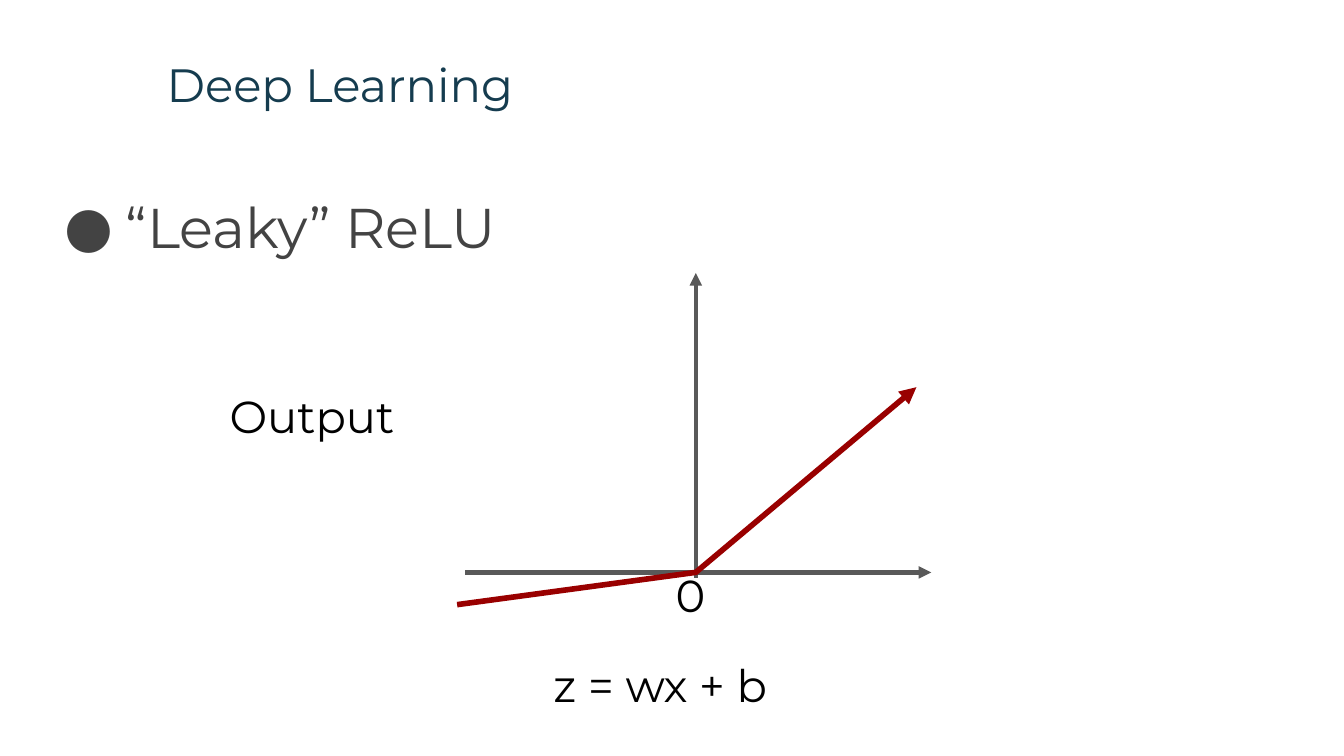
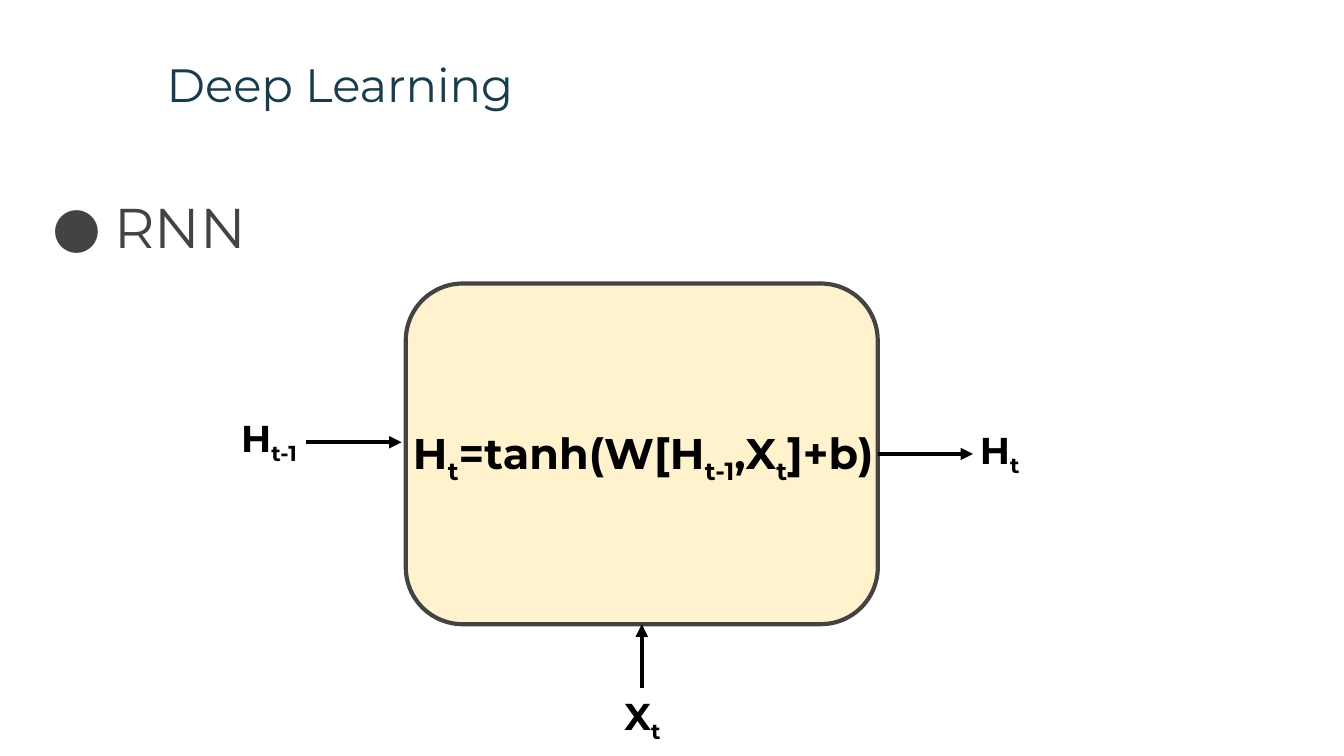
from dataclasses import dataclass

from lxml import etree
from pptx import Presentation
from pptx.dml.color import RGBColor
from pptx.enum.shapes import MSO_CONNECTOR, MSO_SHAPE
from pptx.enum.text import MSO_ANCHOR, MSO_AUTO_SIZE, PP_ALIGN
from pptx.oxml.ns import qn
from pptx.shapes.autoshape import Shape
from pptx.shapes.connector import Connector
from pptx.slide import Slide
from pptx.text.text import TextFrame
from pptx.util import Cm, Pt

STRAIGHT = MSO_CONNECTOR.STRAIGHT
ROUNDED = MSO_SHAPE.ROUNDED_RECTANGLE
TOP = MSO_ANCHOR.TOP
LEFT, CENTER = PP_ALIGN.LEFT, PP_ALIGN.CENTER
NO_AUTOFIT = MSO_AUTO_SIZE.NONE
BOTTOM_SITE, RIGHT_SITE = 2, 3


@dataclass(frozen=True)
class Theme:
    font: str = "Montserrat"
    title_color: str = "153C4F"
    body_color: str = "434343"
    ink: str = "000000"
    axis: str = "595959"
    curve: str = "990000"
    cell_fill: str = "FFF2CC"
    title_size: float = 25
    body_size: float = 30
    caption_size: float = 24
    formula_size: float = 23
    symbol_size: float = 20
    line_width: float = 2.25
    curve_width: float = 3


THEME = Theme()


@dataclass(frozen=True)
class Box:
    """A rectangle in centimetres."""
    left: float
    top: float
    width: float
    height: float

    @property
    def right(self) -> float:
        return self.left + self.width

    @property
    def bottom(self) -> float:
        return self.top + self.height

    @property
    def center_x(self) -> float:
        return self.left + self.width / 2

    @property
    def center_y(self) -> float:
        return self.top + self.height / 2

    def lengths(self) -> tuple[Cm, Cm, Cm, Cm]:
        return Cm(self.left), Cm(self.top), Cm(self.width), Cm(self.height)


@dataclass(frozen=True)
class Label:
    """Text pieces that alternate between baseline and subscript."""
    box: Box
    pieces: tuple[str, ...]
    size: float
    bold: bool = False
    align: PP_ALIGN = LEFT


@dataclass(frozen=True)
class Arrow:
    start: tuple[float, float]
    end: tuple[float, float]
    color: str


TITLE_BOX = Box(2.9, 0.81, 21.64, 1.6)


def write_text(frame: TextFrame, pieces: tuple[str, ...], size: float, color: str,
               bold: bool = False, align: PP_ALIGN = LEFT) -> None:
    frame.word_wrap = True
    frame.auto_size = NO_AUTOFIT
    frame.vertical_anchor = TOP
    frame.margin_left = frame.margin_right = Cm(0.25)
    frame.margin_top = frame.margin_bottom = Cm(0.25)
    paragraph = frame.paragraphs[0]
    paragraph.alignment = align
    paragraph.space_before = Pt(0)
    font = paragraph.font
    font.name, font.size, font.bold = THEME.font, Pt(size), bold
    font.color.rgb = RGBColor.from_string(color)
    for position, piece in enumerate(pieces):
        run = paragraph.add_run()
        run.text = piece
        if position % 2:
            run._r.get_or_add_rPr().set("baseline", "-25000")


def add_bullet(frame: TextFrame) -> None:
    paragraph = frame.paragraphs[0]
    paragraph.line_spacing = 1.15
    properties = paragraph._p.get_or_add_pPr()
    properties.set("marL", str(Cm(1.27)))
    properties.set("indent", str(Cm(-1.17)))
    bullet_color = etree.Element(qn("a:buClr"))
    etree.SubElement(bullet_color, qn("a:srgbClr"), val=THEME.body_color)
    bullet_font = etree.Element(qn("a:buFont"), typeface=THEME.font)
    bullet_char = etree.Element(qn("a:buChar"), char="●")
    run_defaults = properties.find(qn("a:defRPr"))
    for part in (bullet_color, bullet_font, bullet_char):
        run_defaults.addprevious(part)


def add_topic_slide(deck: Presentation, topic: str, body_box: Box) -> Slide:
    slide = deck.slides.add_slide(deck.slide_layouts[1])
    title, body = slide.shapes.title, slide.placeholders[1]
    for holder, box in ((title, TITLE_BOX), (body, body_box)):
        holder.left, holder.top, holder.width, holder.height = box.lengths()
    write_text(title.text_frame, ("Deep Learning",), THEME.title_size, THEME.title_color)
    write_text(body.text_frame, (topic,), THEME.body_size, THEME.body_color)
    add_bullet(body.text_frame)
    return slide


def add_label(slide: Slide, label: Label) -> None:
    frame = slide.shapes.add_textbox(*label.box.lengths()).text_frame
    write_text(frame, label.pieces, label.size, THEME.ink, label.bold, label.align)


def style_arrow(stroke: Shape | Connector, color: str, width: float) -> None:
    stroke.line.color.rgb = RGBColor.from_string(color)
    stroke.line.width = Pt(width)
    outline = stroke.element.spPr.find(qn("a:ln"))
    etree.SubElement(outline, qn("a:tailEnd"), type="triangle")


def add_arrow(slide: Slide, arrow: Arrow) -> Connector:
    ends = (Cm(value) for value in (*arrow.start, *arrow.end))
    connector = slide.shapes.add_connector(STRAIGHT, *ends)
    style_arrow(connector, arrow.color, THEME.line_width)
    etree.SubElement(connector.element.spPr, qn("a:effectLst"))
    return connector


def add_curve(slide: Slide, points: list[tuple[float, float]]) -> None:
    start, *rest = [(Cm(x), Cm(y)) for x, y in points]
    builder = slide.shapes.build_freeform(*start)
    builder.add_line_segments(rest, close=False)
    curve = builder.convert_to_shape()
    curve.fill.background()
    curve.shadow.inherit = False
    style_arrow(curve, THEME.curve, THEME.curve_width)


def add_cell(slide: Slide, box: Box) -> Shape:
    cell = slide.shapes.add_shape(ROUNDED, *box.lengths())
    cell.adjustments[0] = 0.167
    cell.shadow.inherit = False
    cell.fill.solid()
    cell.fill.fore_color.rgb = RGBColor.from_string(THEME.cell_fill)
    cell.line.color.rgb = RGBColor.from_string(THEME.body_color)
    cell.line.width = Pt(THEME.line_width)
    return cell


def build_leaky_relu(deck: Presentation) -> None:
    slide = add_topic_slide(deck, "“Leaky” ReLU", Box(0.86, 3.2, 24.18, 9.5))
    origin_x, origin_y = 13.15, 10.82
    add_arrow(slide, Arrow((origin_x, 10.92), (origin_x, 5.16), THEME.axis))
    add_arrow(slide, Arrow((8.79, origin_y), (17.6, origin_y), THEME.axis))
    for text, box in (
        ("z = wx + b", Box(10.21, 12.19, 6.63, 1.37)),
        ("Output", Box(4.09, 7.09, 4.45, 1.37)),
        ("0", Box(12.52, 10.49, 1.47, 1.37)),
    ):
        add_label(slide, Label(box, (text,), THEME.caption_size))
    add_curve(slide, [(8.64, 11.43), (origin_x, origin_y), (17.32, 7.32)])


def build_rnn(deck: Presentation) -> None:
    slide = add_topic_slide(deck, "RNN", Box(0.64, 3.2, 24.76, 2.39))
    cell_box = Box(7.67, 5.36, 8.92, 6.44)
    cell = add_cell(slide, cell_box)
    middle_x, middle_y = cell_box.center_x, cell_box.center_y
    add_arrow(slide, Arrow((5.79, 8.36), (7.59, 8.36), THEME.ink))
    state_out = add_arrow(
        slide, Arrow((cell_box.right, middle_y), (18.39, middle_y), THEME.ink))
    state_out.begin_connect(cell, RIGHT_SITE)
    feature_in = add_arrow(
        slide, Arrow((middle_x, 13), (middle_x, cell_box.bottom), THEME.ink))
    feature_in.end_connect(cell, BOTTOM_SITE)
    for left, top, pieces in (
        (2.9, 7.59, ("H", "t-1")),
        (9.96, 12.85, ("X", "t")),
        (16.71, 7.82, ("H", "t")),
    ):
        add_label(slide, Label(Box(left, top, 4.37, 0.94), pieces,
                               THEME.symbol_size, True, CENTER))
    formula = ("H", "t", "=tanh(W[H", "t-1", ",X", "t", "]+b)")
    add_label(slide, Label(Box(7.37, 7.82, 9.58, 0.94), formula,
                           THEME.formula_size, True, CENTER))


def main() -> None:
    deck = Presentation()
    deck.slide_width, deck.slide_height = Cm(25.4), Cm(14.29)
    build_leaky_relu(deck)
    build_rnn(deck)
    deck.save("out.pptx")


if __name__ == "__main__":
    main()
